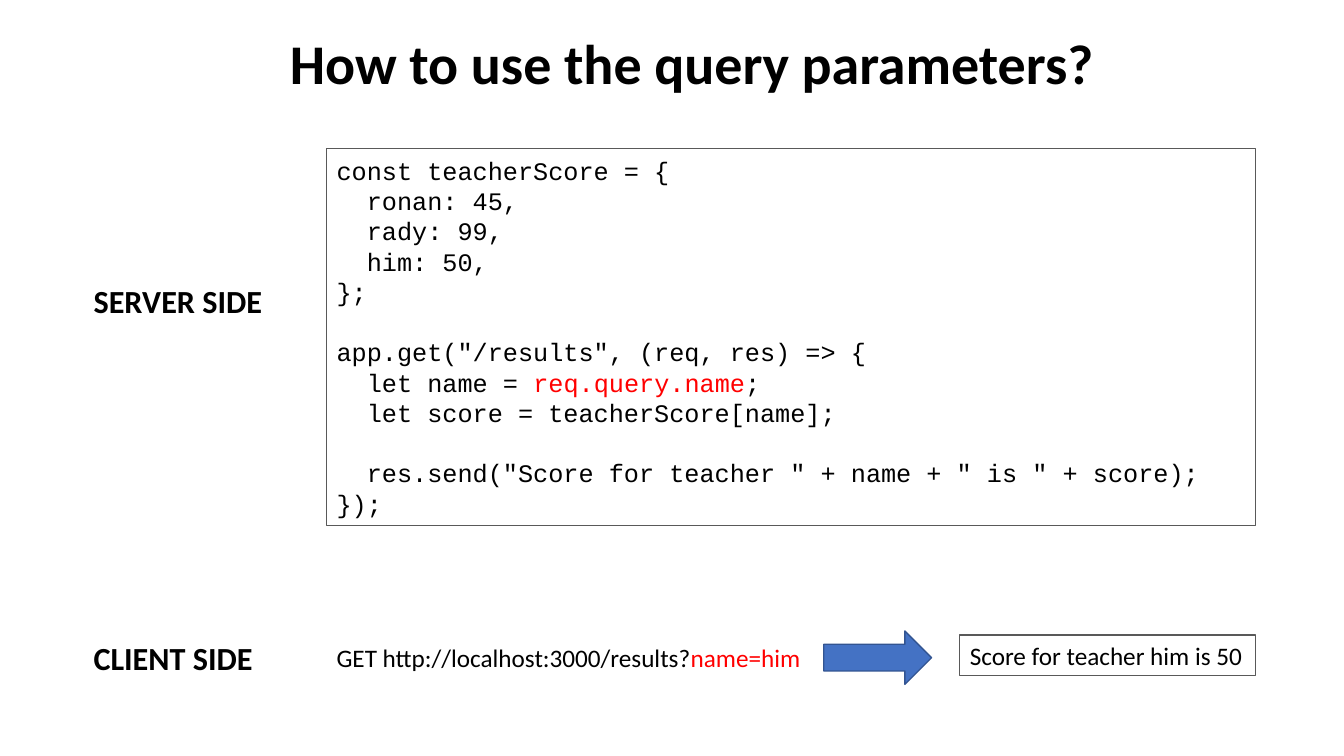
from dataclasses import dataclass

from pptx import Presentation
from pptx.dml.color import RGBColor
from pptx.enum.shapes import MSO_SHAPE
from pptx.enum.text import MSO_ANCHOR, MSO_AUTO_SIZE, PP_ALIGN
from pptx.util import Emu, Pt

PX = 9144  # 100 px to the inch


@dataclass(frozen=True)
class Theme:
    text: RGBColor = RGBColor(0, 0, 0)
    highlight: RGBColor = RGBColor(255, 0, 0)
    border: RGBColor = RGBColor(0x59, 0x59, 0x59)
    arrow: RGBColor = RGBColor(0x44, 0x72, 0xC4)
    arrow_line: RGBColor = RGBColor(0x32, 0x54, 0x91)
    font: str = "Calibri"
    code_font: str = "Courier New"
    title_size: int = 40
    label_size: int = 23
    body_size: int = 18


THEME = Theme()


@dataclass(frozen=True)
class Box:
    left: int
    top: int
    width: int
    height: int

    def emu(self) -> tuple[Emu, ...]:
        return tuple(Emu(v * PX) for v in (self.left, self.top, self.width, self.height))


@dataclass(frozen=True)
class TextItem:
    box: Box
    text: str
    highlight: str = ""
    size: int = THEME.body_size
    font: str = THEME.font
    bold: bool = False
    framed: bool = False
    wrap: bool = False


CODE = """const teacherScore = {
  ronan: 45,
  rady: 99,
  him: 50,
};

app.get("/results", (req, res) => {
  let name = req.query.name;
  let score = teacherScore[name];

  res.send("Score for teacher " + name + " is " + score);
});"""

TITLE_BOX = Box(273, 23, 826, 77)
ARROW_BOX = Box(817, 626, 107, 53)
ITEMS = (
    TextItem(Box(324, 147, 921, 374), CODE, "req.query.name",
             font=THEME.code_font, framed=True, wrap=True),
    TextItem(Box(324, 632, 486, 40),
             "GET http://localhost:3000/results?name=him", "name=him"),
    TextItem(Box(83, 274, 189, 49), "SERVER SIDE", size=THEME.label_size, bold=True),
    TextItem(Box(83, 628, 180, 49), "CLIENT SIDE", size=THEME.label_size, bold=True),
    TextItem(Box(952, 630, 293, 40), "Score for teacher him is 50", framed=True),
)


def write_text(tf, text: str, *, highlight: str = "", size: int = THEME.body_size,
               font: str = THEME.font, bold: bool = False, wrap: bool = False,
               align: PP_ALIGN = PP_ALIGN.LEFT) -> None:
    """Write one paragraph per line; an empty line becomes a break before the next."""
    tf.word_wrap = wrap
    tf.auto_size = MSO_AUTO_SIZE.NONE
    tf.vertical_anchor = MSO_ANCHOR.MIDDLE
    p, after_blank = None, False
    for line in text.split("\n"):
        if not line:
            after_blank = True
            continue
        p = tf.add_paragraph() if p else tf.paragraphs[0]
        p.alignment = align
        p.font.size = Pt(size)
        p.font.name = font
        if after_blank:
            p.add_line_break()
            after_blank = False
        before, mark, after = line.partition(highlight) if highlight else (line, "", "")
        for part, color in ((before, THEME.text), (mark, THEME.highlight), (after, THEME.text)):
            if part:
                r = p.add_run()
                r.text = part
                r.font.size = Pt(size)
                r.font.name = font
                r.font.bold = bold
                r.font.color.rgb = color


def add_text(s, item: TextItem) -> None:
    if item.framed:
        sp = s.shapes.add_shape(MSO_SHAPE.RECTANGLE, *item.box.emu())
        sp.shadow.inherit = False
        sp.fill.background()
        sp.line.color.rgb = THEME.border
        sp.line.width = Pt(0.75)
    else:
        sp = s.shapes.add_textbox(*item.box.emu())
    write_text(sp.text_frame, item.text, highlight=item.highlight, size=item.size,
               font=item.font, bold=item.bold, wrap=item.wrap)


def add_title(s, text: str) -> None:
    sp = s.shapes.title
    sp.left, sp.top, sp.width, sp.height = TITLE_BOX.emu()
    write_text(sp.text_frame, text, size=THEME.title_size, bold=True, align=PP_ALIGN.CENTER)


def add_arrow(s, box: Box) -> None:
    sp = s.shapes.add_shape(MSO_SHAPE.RIGHT_ARROW, *box.emu())
    sp.shadow.inherit = False
    sp.fill.solid()
    sp.fill.fore_color.rgb = THEME.arrow
    sp.line.color.rgb = THEME.arrow_line
    sp.line.width = Pt(1)


def main() -> None:
    prs = Presentation()
    prs.slide_width, prs.slide_height = Emu(1333 * PX), Emu(750 * PX)
    s = prs.slides.add_slide(prs.slide_layouts.get_by_name("Title Only"))
    add_title(s, "How to use the query parameters?")
    for item in ITEMS:
        add_text(s, item)
    add_arrow(s, ARROW_BOX)
    prs.save("out.pptx")


if __name__ == "__main__":
    main()
